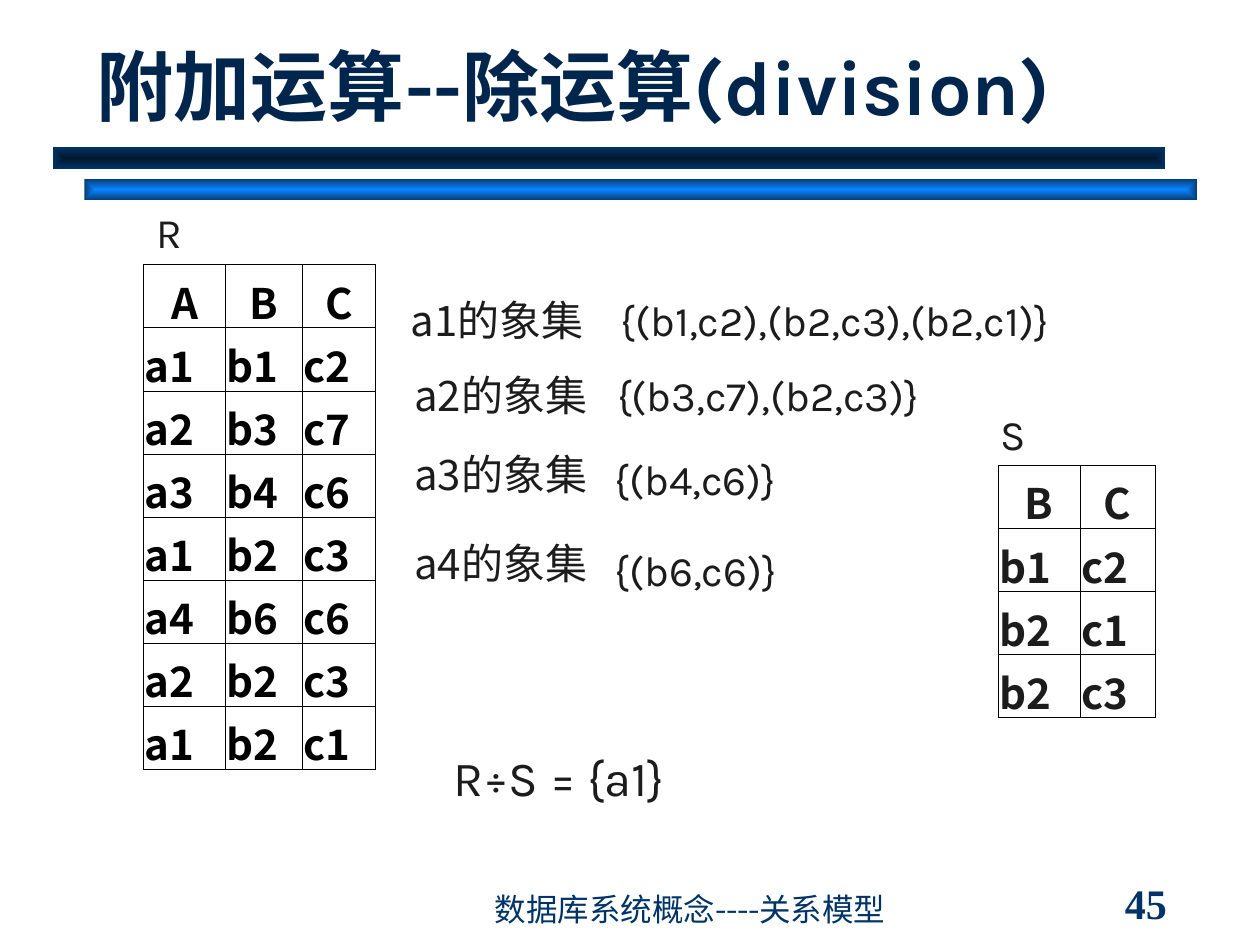
from pptx import Presentation
from pptx.dml.color import RGBColor
from pptx.enum.shapes import MSO_SHAPE
from pptx.enum.text import MSO_ANCHOR, PP_ALIGN
from pptx.oxml import parse_xml
from pptx.oxml.ns import nsdecls
from pptx.util import Inches, Pt

NAVY = RGBColor(0x00, 0x26, 0x4D)
BLUE = RGBColor(0x00, 0x33, 0x66)
INK = RGBColor(0x1C, 0x1C, 0x1C)
BLACK = RGBColor(0x00, 0x00, 0x00)
SANS = "Karla"
CJK_SC = "Noto Sans CJK SC"
CJK_JP = "Noto Sans CJK JP"
SERIF = "Times New Roman"

deck = Presentation()
deck.slide_width, deck.slide_height = Inches(10), Inches(7.5)
slide = deck.slides.add_slide(deck.slide_layouts[6])
shapes = slide.shapes


def set_font(para, size, face, color, bold=False):
    for run in para.runs:
        font = run.font
        font.size, font.name, font.bold = Pt(size), face, bold
        font.color.rgb = color
        asian = CJK_JP if face == CJK_JP else CJK_SC
        font._element.append(parse_xml(
            f'<a:ea {nsdecls("a")} typeface="{asian}"/>'))


def add_text(text, left, top, width, height, size=24, face=SANS, color=INK,
             bold=False, anchor=MSO_ANCHOR.TOP, wrap=False):
    box = shapes.add_textbox(Inches(left), Inches(top),
                             Inches(width), Inches(height))
    frame = box.text_frame
    frame.text = text
    frame.word_wrap = wrap
    frame.vertical_anchor = anchor
    set_font(frame.paragraphs[0], size, face, color, bold)


# Two bars under the title, each shaded from the middle to the edge
for left, top, mid, edge in [(0.67, 1.42, RGBColor(0x0A, 0x84, 0xFF), RGBColor(0x05, 0x3D, 0x76)),
                             (0.42, 1.17, RGBColor(0x00, 0x18, 0x2F), BLUE)]:
    bar = shapes.add_shape(MSO_SHAPE.RECTANGLE, Inches(left), Inches(top),
                           Inches(8.83), Inches(0.17))
    bar.shadow.inherit = False
    bar.line.fill.background()
    bar.fill.gradient()
    for stop, color in zip(bar.fill.gradient_stops, (mid, edge)):
        stop.color.rgb = color
    grad = bar._element.spPr.find(".//{*}gradFill")
    grad.replace(grad.find("{*}lin"), parse_xml(
        f'<a:path {nsdecls("a")} path="rect">'
        '<a:fillToRect l="50000" t="50000" r="50000" b="50000"/></a:path>'))

# Title and footer
add_text("附加运算--除运算(division)", 0.67, 0.42, 8.5, 0.67, 44, color=NAVY,
         bold=True, anchor=MSO_ANCHOR.BOTTOM, wrap=True)
add_text("45", 8.83, 7, 1.08, 0.33, face=SERIF, color=BLUE, bold=True,
         anchor=MSO_ANCHOR.MIDDLE)
add_text("数据库系统概念----关系模型", 3.83, 7.08, 4.08, 0.33, 18, color=BLUE,
         anchor=MSO_ANCHOR.BOTTOM, wrap=True)

# Relations S and R
tables = [
    (7.92, 3.69, [0.65, 0.6], INK, ["B C", "b1 c2", "b2 c1", "b2 c3"]),
    (1.14, 2.1, [0.65, 0.61, 0.58], BLACK,
     ["A B C", "a1 b1 c2", "a2 b3 c7", "a3 b4 c6", "a1 b2 c3",
      "a4 b6 c6", "a2 b2 c3", "a1 b2 c1"]),
]
ROW = 0.41
for left, top, widths, color, rows in tables:
    grid = shapes.add_table(len(rows), len(widths), Inches(left), Inches(top),
                            Inches(sum(widths)), Inches(ROW * len(rows))).table
    grid.first_row = grid.horz_banding = False
    for col, width in zip(grid.columns, widths):
        col.width = Inches(width)
    for r, row in enumerate(rows):
        grid.rows[r].height = Inches(ROW)
        for c, word in enumerate(row.split()):
            cell = grid.cell(r, c)
            cell.margin_left = cell.margin_right = Inches(0.01)
            cell.vertical_anchor = MSO_ANCHOR.MIDDLE
            cell.text = word
            para = cell.text_frame.paragraphs[0]
            para.alignment = PP_ALIGN.LEFT if r else PP_ALIGN.CENTER
            set_font(para, 24, CJK_SC, color, True)
            props = cell._tc.get_or_add_tcPr()
            for side in ("lnL", "lnR", "lnT", "lnB"):
                props.append(parse_xml(
                    f'<a:{side} {nsdecls("a")} w="2921"><a:solidFill>'
                    f'<a:srgbClr val="{BLACK}"/></a:solidFill></a:{side}>'))
            cell.fill.background()

# Table names and the result
add_text("R", 1.14, 1.59, 0.41, 0.5)
add_text("S", 7.84, 3.19, 0.38, 0.5)
add_text("R÷S = {a1}", 3.5, 5.88, 3.47, 0.57, 28, wrap=True)

# Image set of each value of A
images = [
    ("a1", 3.16, 2.29, "{(b1,c2),(b2,c3),(b2,c1)}", 4.83, 2.29, 3.74),
    ("a2", 3.19, 2.88, "{(b3,c7),(b2,c3)}", 4.8, 2.88, 2.61),
    ("a3", 3.19, 3.51, "{(b4,c6)}", 4.78, 3.55, 1.49),
    ("a4", 3.19, 4.22, "{(b6,c6)}", 4.78, 4.27, 1.49),
]
for key, left, top, pairs, set_left, set_top, width in images:
    add_text(f"{key}的象集", left, top, 1.66, 0.5, face=CJK_JP)
    add_text(pairs, set_left, set_top, width, 0.5)

deck.save("out.pptx")
